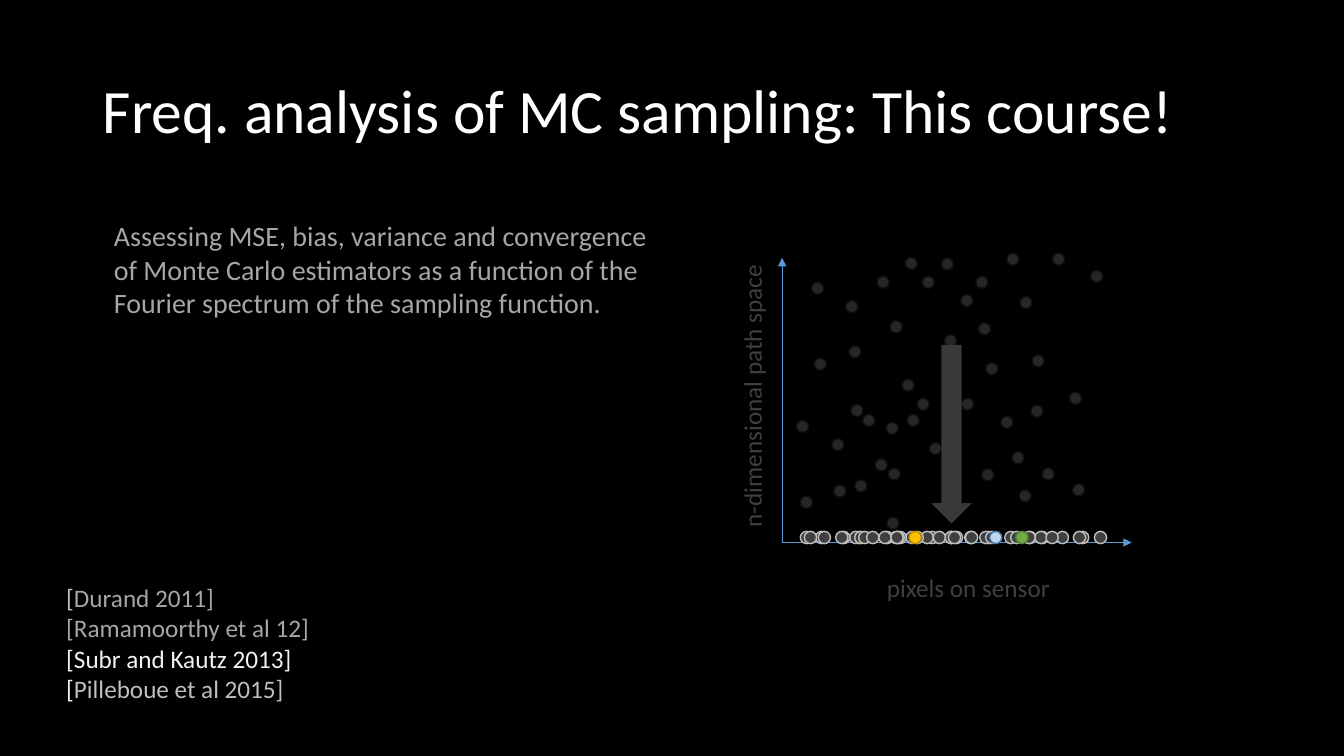
from lxml.etree import SubElement
from pptx import Presentation
from pptx.dml.color import RGBColor
from pptx.enum.shapes import MSO_CONNECTOR, MSO_SHAPE
from pptx.enum.text import MSO_ANCHOR, MSO_AUTO_SIZE
from pptx.oxml.ns import qn
from pptx.util import Cm, Pt

BLACK = RGBColor(0x00, 0x00, 0x00)
WHITE = RGBColor(0xFF, 0xFF, 0xFF)
NEAR_WHITE = RGBColor(0xF2, 0xF2, 0xF2)
LIGHT_GREY = RGBColor(0xBF, 0xBF, 0xBF)
MID_GREY = RGBColor(0xA6, 0xA6, 0xA6)
DARK_GREY = RGBColor(0x40, 0x40, 0x40)
ARROW_GREY = RGBColor(0x3B, 0x38, 0x38)
DOT_FILL = RGBColor(0x26, 0x26, 0x26)
DOT_LINE = RGBColor(0x0D, 0x0D, 0x0D)
AXIS_BLUE = RGBColor(0x5B, 0x9B, 0xD5)
GREEN = RGBColor(0x70, 0xAD, 0x47)
GREEN_LINE = RGBColor(0x53, 0x80, 0x35)
PALE_BLUE = RGBColor(0xBD, 0xD7, 0xEE)
PALE_BLUE_LINE = RGBColor(0x43, 0x73, 0x9E)
GOLD = RGBColor(0xFF, 0xC0, 0x00)
GOLD_LINE = RGBColor(0xBD, 0x8E, 0x00)

DOT_SIZE = 0.31
ORIGIN = (19.71, 13.67)
AXIS_ENDS = [(19.71, 6.5), (28.52, 13.67)]
SENSOR_TOP = 13.39
SENSOR_SHIFT = 0.1

# Left and top of each sample in path space
SAMPLES = [
    (20.45, 7.11), (22.1, 6.96), (21.39, 8.71), (24.21, 7.42), (23.24, 6.96),
    (21.31, 7.57), (20.52, 9.02), (22.73, 9.55), (22.43, 8.08),
    (21.44, 10.19), (23.11, 10.03), (22.38, 11.79), (25.22, 10.49), (24.23, 10.03),
    (22.33, 10.64), (21.54, 12.09), (23.72, 12.6), (23.42, 11.15),
    (20.07, 10.59), (21.74, 10.44), (21.01, 12.22), (23.85, 10.9), (22.86, 10.44),
    (20.96, 11.05), (20.17, 12.5), (22.35, 13.03), (22.05, 11.56),
    (23.72, 6.5), (25.37, 6.38), (24.66, 8.13), (27.48, 6.81), (26.52, 6.38),
    (24.59, 6.96), (23.8, 8.43), (26.01, 8.94), (25.7, 7.47),
    (24.74, 11.81), (25.98, 10.21), (26.26, 11.79), (25.68, 12.34), (27.03, 12.19),
    (26.95, 9.88), (25.5, 11.38), (24.84, 9.14), (22.81, 6.48),
]
# The last samples get their own colours once they land on the sensor
HIGHLIGHTS = [(GREEN, GREEN_LINE), (PALE_BLUE, PALE_BLUE_LINE), (GOLD, GOLD_LINE)]

REFERENCES = [
    [("[", LIGHT_GREY), ("Durand 2011]", MID_GREY)],
    [("[Ramamoorthy et al 12]", MID_GREY)],
    [("[Subr and Kautz 2013]", NEAR_WHITE)],
    [("[", NEAR_WHITE), ("Pilleboue et al 2015]", LIGHT_GREY)],
]
SUMMARY = [
    "Assessing MSE, bias, variance and convergence",
    "of Monte Carlo estimators as a function of the",
    "Fourier spectrum of the sampling function.",
]


def apply(target, values):
    for name, value in values.items():
        setattr(target, name, value)


def plain(lines, color):
    """Turn strings into paragraphs of one span each."""
    return [[(line, color)] for line in lines]


class SlideWriter:
    """Adds elements, measured in centimetres, to one page."""

    font_name = "Calibri"

    def __init__(self, page, background):
        self.page = page
        page.background.fill.solid()
        page.background.fill.fore_color.rgb = background

    def text(self, place, paras, size, rotation=0, line_spacing=None, **frame_format):
        box = self.page.shapes.add_textbox(*map(Cm, place))
        box.rotation = rotation
        frame = box.text_frame
        apply(frame, {"word_wrap": False, "auto_size": MSO_AUTO_SIZE.SHAPE_TO_FIT_TEXT,
                      **frame_format})
        for index, spans in enumerate(paras):
            para = frame.add_paragraph() if index else frame.paragraphs[0]
            para.line_spacing = line_spacing
            for wording, color in spans:
                span = para.add_run()
                span.text = wording
                apply(span.font, {"name": self.font_name, "size": Pt(size)})
                span.font.color.rgb = color

    def shape(self, kind, place, fill, line=None):
        shape = self.page.shapes.add_shape(kind, *map(Cm, place))
        shape.shadow.inherit = False
        shape.fill.solid()
        shape.fill.fore_color.rgb = fill
        if line is None:
            shape.line.fill.background()
        else:
            shape.line.color.rgb = line
            shape.line.width = Pt(1)

    def dot(self, left, top, fill, line):
        self.shape(MSO_SHAPE.OVAL, (left, top, DOT_SIZE, DOT_SIZE), fill, line)

    def axis(self, start, end):
        axis = self.page.shapes.add_connector(MSO_CONNECTOR.STRAIGHT, *map(Cm, start + end))
        axis.line.color.rgb = AXIS_BLUE
        axis.line.width = Pt(0.5)
        SubElement(axis.line._get_or_add_ln(), qn("a:tailEnd"), type="triangle")
        SubElement(axis._element.spPr, qn("a:effectLst"))


def main():
    deck = Presentation()
    apply(deck, {"slide_width": Cm(33.87), "slide_height": Cm(19.05)})
    writer = SlideWriter(deck.slides.add_slide(deck.slide_layouts[6]), BLACK)

    writer.text((2.34, 1.02, 29.21, 3.68),
                plain(["Freq. analysis of MC sampling: This course!"], WHITE), 44,
                line_spacing=0.9, word_wrap=True, auto_size=MSO_AUTO_SIZE.NONE,
                vertical_anchor=MSO_ANCHOR.MIDDLE)

    for left, top in SAMPLES:
        writer.dot(left, top, DOT_FILL, DOT_LINE)
    for end in AXIS_ENDS:
        writer.axis(ORIGIN, end)
    writer.text((15.19, 9.27, 7.52, 1.02), plain(["n-dimensional path space"], DARK_GREY),
                18, rotation=270, word_wrap=True)

    ordinary = [(DARK_GREY, LIGHT_GREY)] * (len(SAMPLES) - len(HIGHLIGHTS))
    for (left, _), colors in zip(SAMPLES, ordinary + HIGHLIGHTS):
        writer.dot(left + SENSOR_SHIFT, SENSOR_TOP, *colors)
    writer.shape(MSO_SHAPE.DOWN_ARROW, (23.47, 8.69, 1.02, 4.5), ARROW_GREY)

    writer.text((22.1, 14.3, 4.67, 1.02), plain(["pixels on sensor"], DARK_GREY), 18)
    writer.text((1.42, 14.55, 6.71, 3.33), REFERENCES, 18)
    writer.text((2.62, 5.38, 14.3, 4.52), plain(SUMMARY, MID_GREY), 20)

    deck.save("out.pptx")


if __name__ == "__main__":
    main()
